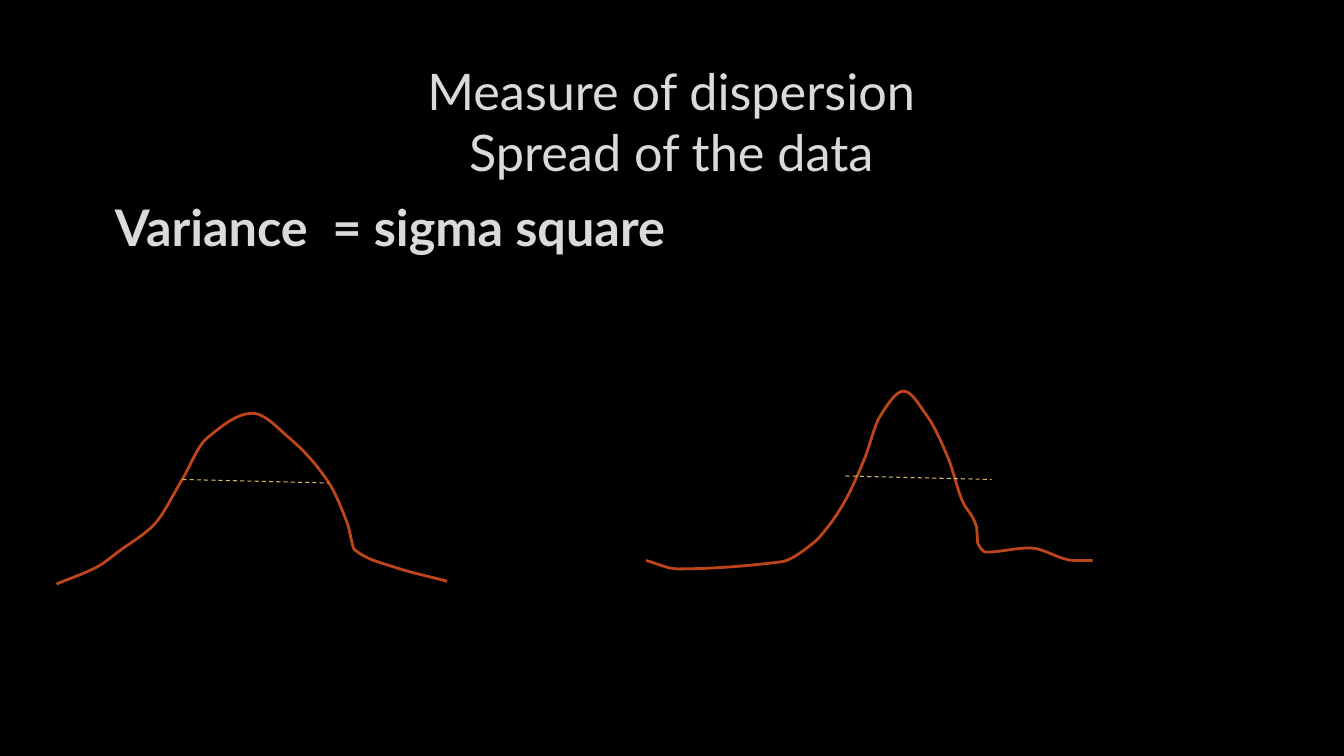
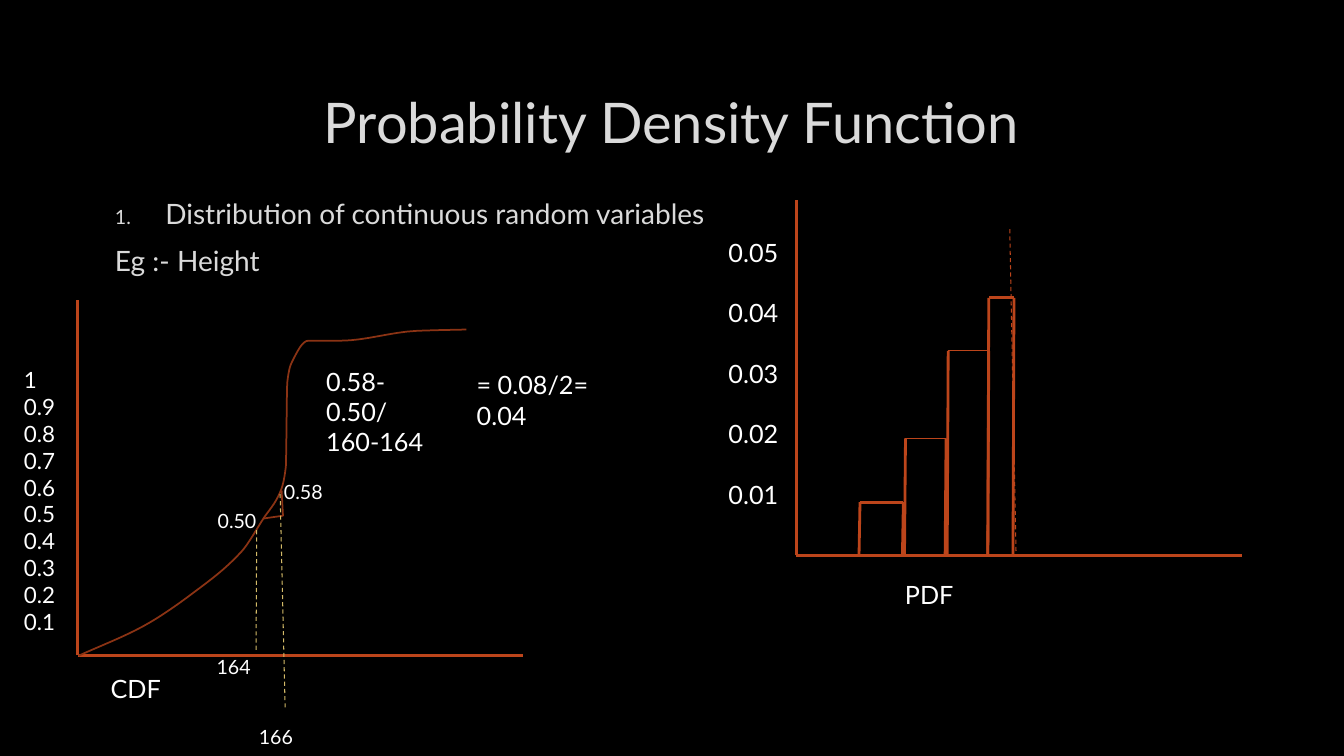
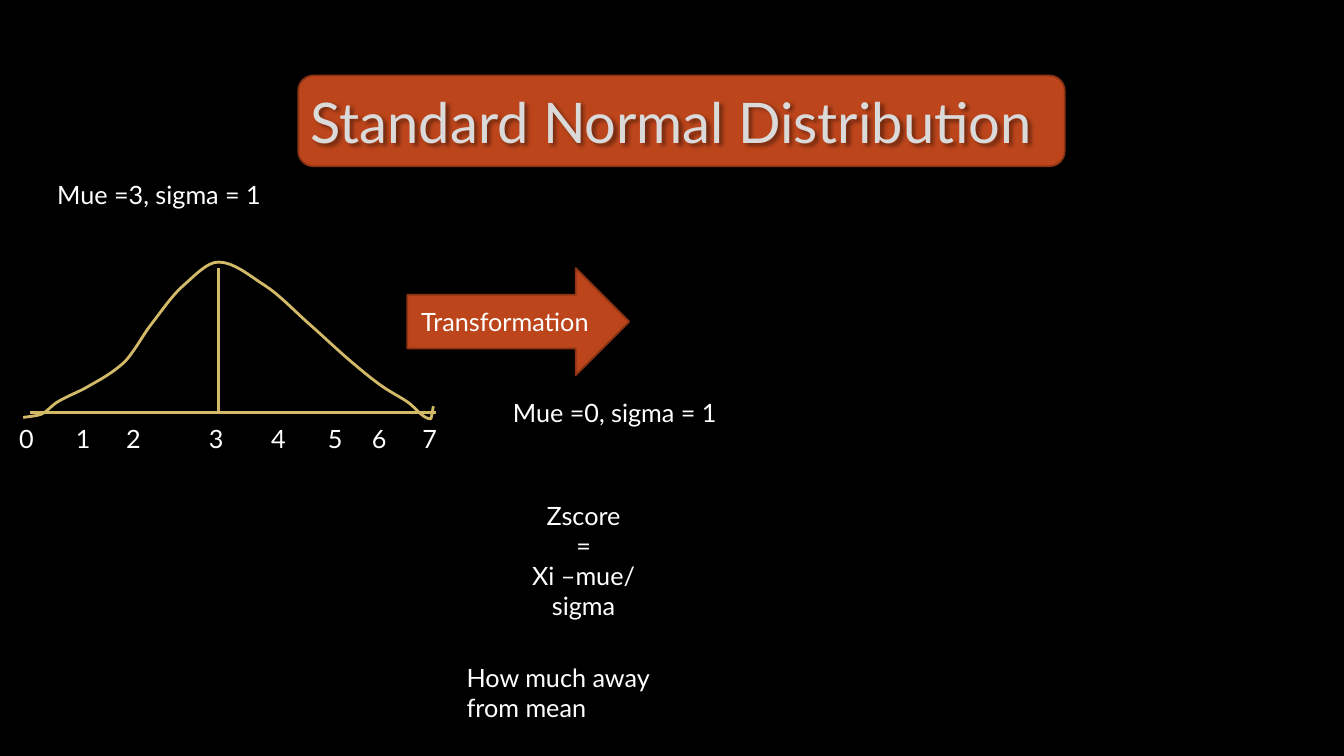
from collections import namedtuple
from itertools import pairwise

from lxml import etree
from pptx import Presentation
from pptx.dml.color import RGBColor
from pptx.enum import dml, shapes, text
from pptx.oxml.ns import qn
from pptx.util import Pt

BLACK = RGBColor(0x00, 0x00, 0x00)
WHITE = RGBColor(0xFF, 0xFF, 0xFF)
SILVER = RGBColor(0xDA, 0xDA, 0xDA)
RUST = RGBColor(0xBC, 0x45, 0x1B)
BROWN = RGBColor(0x8B, 0x33, 0x14)
GOLD = RGBColor(0xD3, 0xBA, 0x68)
FONT = "Lato"
CENTER = text.PP_ALIGN.CENTER
TOP, MIDDLE = text.MSO_ANCHOR.TOP, text.MSO_ANCHOR.MIDDLE
KINDS = shapes.MSO_SHAPE

TITLE_BOX = (72, 48, 815, 76.5)
BODY_BOX = (72, 136.5, 815, 320)
THICK, MEDIUM, THIN = 2, 1.25, 0.75
STEPS = 8

LEVELS = (0.1, 0.2, 0.35, 0.6, 0.85)
Bell = namedtuple("Bell", "peak height left right left_tail right_tail")
WIDE = Bell(140, 122, left=(111, 94, 70, 51, 33), right=(101, 73, 68, 54, 27),
            left_tail=[(0, 122)], right_tail=[(279, 120)])
NARROW = Bell(184, 121, left=(65, 54, 42, 28, 17), right=(53, 52, 42, 32, 17),
              left_tail=[(0, 121), (23, 127), (96, 122)],
              right_tail=[(243, 115), (274, 112), (306, 121), (319, 121)])
NORMAL = Bell(139.5, 111, left=(115, 93, 68, 48, 25), right=(135, 117, 96, 65, 33),
              left_tail=[(0, 111), (12, 109)], right_tail=[(291, 112), (293, 103)])

CDF_KNOTS = [(0, 233), (46, 212), (82, 188), (116, 159), (132, 135), (144, 116),
             (148, 98), (149, 38), (152, 24), (164, 8), (187, 8), (241, 1), (277, 0)]
CDF_STEP = [(132, 135), (146, 133), (145, 115)]

Bar = namedtuple("Bar", "left right height cap")
BARS = [Bar(45.5, 76.5, 38, THICK), Bar(78, 107, 83.5, THIN),
        Bar(108.5, 137.5, 146, THIN), Bar(137.5, 155.5, 184, THICK)]
BAR_LEAN = 0.7

NUMBER_TABS = (40.5, 76.5, 135.5, 180, 220.5, 252, 288)


def bell_knots(bell):
    ys = [bell.height * (1 - level) for level in LEVELS]
    rise = [(bell.peak - d, y) for d, y in zip(bell.left, ys)]
    fall = [(bell.peak + d, y) for d, y in zip(bell.right, ys)]
    return bell.left_tail + rise + [(bell.peak, 0)] + fall[::-1] + bell.right_tail


def smooth(knots):
    slopes = [(y2 - y1) / (x2 - x1) for (x1, y1), (x2, y2) in pairwise(knots)]
    inner = [2 * a * b / (a + b) if a * b > 0 else 0 for a, b in pairwise(slopes)]
    tangents = [slopes[0], *inner, slopes[-1]]
    points = [knots[0]]
    for ((x1, y1), (x2, y2)), (m1, m2) in zip(pairwise(knots), pairwise(tangents)):
        w = x2 - x1
        for step in range(1, STEPS + 1):
            t = step / STEPS
            ease = t * t * (3 - 2 * t)
            bend = t * (1 - t) * w * (m1 * (1 - t) - m2 * t)
            points.append((x1 + w * t, y1 + (y2 - y1) * ease + bend))
    return points


def write(tf, content, size=18, color=WHITE, bold=False, align=None,
          anchor=TOP, gap=0):
    tf.word_wrap = True
    tf.vertical_anchor = anchor
    lines = content if isinstance(content, list) else [content]
    for i, words in enumerate(lines):
        p = tf.add_paragraph() if i else tf.paragraphs[0]
        p.alignment = align
        if i and gap:
            p.space_before = Pt(gap)
        for j, part in enumerate(words.split("\n")):
            if j:
                p.add_line_break()
            r = p.add_run()
            r.text = part
            r.font.name, r.font.size, r.font.bold = FONT, Pt(size), bold
            r.font.color.rgb = color


def label(s, box, content, **fmt):
    sp = s.shapes.add_textbox(*map(Pt, box))
    write(sp.text_frame, content, **fmt)
    return sp


def line(s, x1, y1, x2, y2, color=RUST, width=THICK, dash=False):
    c = s.shapes.add_connector(shapes.MSO_CONNECTOR.STRAIGHT,
                               Pt(x1), Pt(y1), Pt(x2), Pt(y2))
    c.line.color.rgb, c.line.width = color, Pt(width)
    if dash:
        c.line.dash_style = dml.MSO_LINE.DASH
    etree.SubElement(c._element.spPr, qn("a:effectLst"))


def dashed(s, *ends, color=GOLD):
    line(s, *ends, color=color, width=THIN, dash=True)


def curve(s, x, y, points, color=RUST, width=THICK):
    pts = [(Pt(x + dx), Pt(y + dy)) for dx, dy in points]
    fb = s.shapes.build_freeform(*pts[0])
    fb.add_line_segments(pts[1:], close=False)
    sp = fb.convert_to_shape()
    sp.shadow.inherit = False
    sp.fill.background()
    sp.line.color.rgb, sp.line.width = color, Pt(width)


def bell_curve(s, x, y, bell, color=RUST):
    curve(s, x, y, smooth(bell_knots(bell)), color)


def block(s, kind, box, fill, edge):
    sp = s.shapes.add_shape(kind, *map(Pt, box))
    sp.shadow.inherit = False
    sp.fill.solid()
    sp.fill.fore_color.rgb = fill
    sp.line.color.rgb, sp.line.width = edge, Pt(MEDIUM)
    return sp.text_frame


def new_slide(prs):
    s = prs.slides.add_slide(prs.slide_layouts[6])
    s.background.fill.solid()
    s.background.fill.fore_color.rgb = BLACK
    return s


def title(s, content, size=40):
    sp = label(s, TITLE_BOX, content, size=size, color=SILVER, align=CENTER,
               anchor=MIDDLE)
    effects = etree.SubElement(sp._element.spPr, qn("a:effectLst"))
    shadow = etree.SubElement(effects, qn("a:outerShdw"), blurRad=str(Pt(3)),
                              dist=str(Pt(2)), dir="2700000")
    tint = etree.SubElement(shadow, qn("a:srgbClr"), val=str(BLACK))
    etree.SubElement(tint, qn("a:alpha"), val="40000")


def body(s, content, numbered=(), **fmt):
    sp = label(s, BODY_BOX, content, color=SILVER, **fmt)
    for i, p in enumerate(sp.text_frame.paragraphs):
        margin, indent = (39, -36) if i in numbered else (3, 0)
        pPr = p._p.get_or_add_pPr()
        pPr.set("marL", str(Pt(margin)))
        pPr.set("indent", str(Pt(indent)))
        if i in numbered:
            etree.SubElement(pPr, qn("a:buSzPct"), val="70000")
            etree.SubElement(pPr, qn("a:buAutoNum"), type="arabicPeriod")


def axes(s, x, y, w=318.5, h=253.5):
    line(s, x, y, x + w, y)
    line(s, x, y, x, y - h)


def pdf_chart(s, x, y):
    axes(s, x, y)
    dashed(s, x + 152.5, y - 233, x + 157, y, color=RUST)
    for bar in BARS:
        top = y - bar.height
        for side in (bar.left, bar.right):
            line(s, x + side, top, x + side - BAR_LEAN, y)
        line(s, x + bar.left, top, x + bar.right, top, width=bar.cap)
    label(s, (x - 55.5, y - 231, 52, 204),
          [f"0.0{n}" for n in range(5, 0, -1)], gap=21.6)
    label(s, (x + 70.5, y + 13.7, 263, 29), "PDF")


def cdf_chart(s, x, y):
    axes(s, x, y)
    label(s, (x + 16.5, y + 9.5, 263, 29), "CDF")
    for points in (smooth(CDF_KNOTS), CDF_STEP):
        curve(s, x + 0.8, y - 232.6, points, BROWN, MEDIUM)
    label(s, (x - 45.4, y - 210, 53, 201),
          ["1"] + [f"0.{n}" for n in range(9, 0, -1)], size=16)
    dashed(s, x + 128, y - 89.3, x + 127.5, y - 3)
    dashed(s, x + 144.7, y - 115.2, x + 148.3, y + 39)
    for dx, dy, mark in [(92.2, -3.5, "164"), (122.4, 46, "166"),
                         (140.4, -129, "0.58"), (93, -108, "0.50")]:
        label(s, (x + dx, y + dy, 47.5, 24.5), mark, size=14)
    label(s, (x + 170.5, y - 210, 99.4, 51), ["0.58-0.50/", "160-164"])
    label(s, (x + 278, y - 207.4, 97.2, 51), "= 0.08/2= 0.04")


def normal_chart(s, x, y):
    base, middle = y + 107.3, x + NORMAL.peak
    line(s, x + 5, base, x + 295.2, base, GOLD)
    bell_curve(s, x, y, NORMAL, GOLD)
    line(s, middle, y + 4.3, middle, base, GOLD)
    numbers = label(s, (x - 10, y + 111.6, 366, 29), "\t".join(map(str, range(8))))
    pPr = numbers.text_frame.paragraphs[0]._p.get_or_add_pPr()
    tabs = etree.SubElement(pPr, qn("a:tabLst"))
    for pos in NUMBER_TABS:
        etree.SubElement(tabs, qn("a:tab"), pos=str(Pt(pos)), algn="l")


def dispersion_slide(prs):
    s = new_slide(prs)
    title(s, "Measure of dispersion\nSpread of the data", size=36)
    body(s, "Variance  = sigma square", size=36, bold=True)
    bell_curve(s, 40.3, 295.2, WIDE)
    bell_curve(s, 461.5, 279.4, NARROW)
    for x, y in [(130.3, 342.5), (604, 340)]:
        dashed(s, x, y, x + 104.4, y + 2.5)


def density_slide(prs):
    s = new_slide(prs)
    title(s, "Probability Density Function")
    body(s, ["Distribution of continuous random variables", "Eg :- Height"],
         numbered=(0,), size=20, gap=10)
    pdf_chart(s, 568.8, 396.7)
    cdf_chart(s, 55.4, 468)


def normal_slide(prs):
    s = new_slide(prs)
    block(s, KINDS.ROUNDED_RECTANGLE, (213, 54, 547.5, 64.8), RUST, BROWN)
    title(s, "Standard Normal Distribution")
    normal_chart(s, 16.6, 187.2)
    label(s, (33.8, 124.6, 255, 29), "Mue =3, sigma = 1")
    arrow = block(s, KINDS.RIGHT_ARROW, (291, 191.5, 158.5, 76.5), RUST, BROWN)
    write(arrow, "Transformation", align=CENTER, anchor=MIDDLE)
    label(s, (359.3, 280, 186.5, 29), "Mue =0, sigma = 1")
    zscore = block(s, KINDS.ROUNDED_RECTANGLE, (353.5, 345.6, 126.7, 109.4),
                   BLACK, BLACK)
    write(zscore, ["Zscore", "=", "Xi –mue/", "sigma"], align=CENTER,
          anchor=MIDDLE)
    label(s, (326.2, 469.4, 186.5, 51), "How much away from mean")


def main():
    prs = Presentation()
    prs.slide_width, prs.slide_height = Pt(960), Pt(540)
    for build in (dispersion_slide, density_slide, normal_slide):
        build(prs)
    prs.save("out.pptx")


if __name__ == "__main__":
    main()
